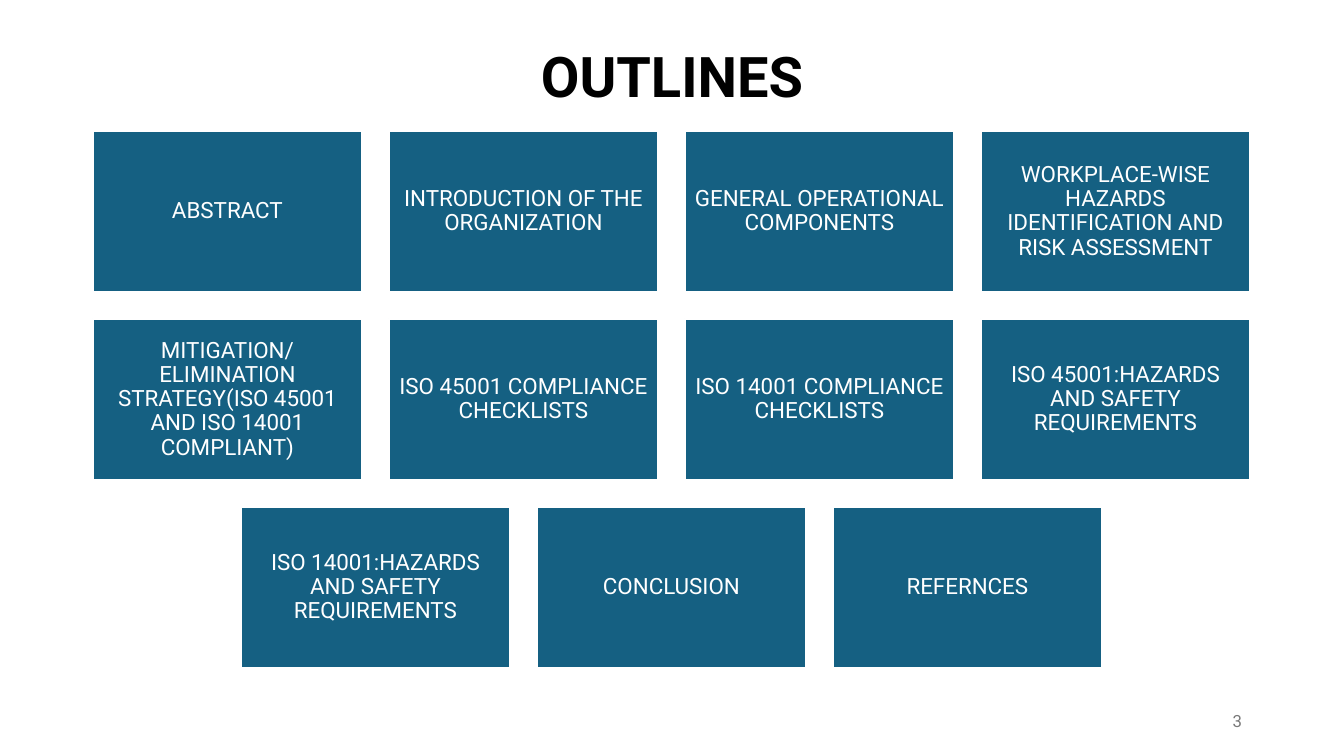
from dataclasses import dataclass

from pptx import Presentation
from pptx.dml.color import RGBColor
from pptx.enum.shapes import MSO_SHAPE as Shape
from pptx.enum.text import MSO_ANCHOR as Anchor, PP_ALIGN as Align
from pptx.util import Emu, Pt

SCALE = 914400 / 100.8  # EMU in one px
WIDTH, HEIGHT = 1344, 756
TILE_W, TILE_H, GAP, TOP = 269, 161, 27, 131
FONT = "Roboto"
COLORS = {"tile": "156082", "white": "FFFFFF", "title": "000000", "number": "797979"}

ROWS = [
    [
        "ABSTRACT",
        "INTRODUCTION OF THE ORGANIZATION",
        "GENERAL OPERATIONAL COMPONENTS",
        "WORKPLACE-WISE HAZARDS IDENTIFICATION AND RISK ASSESSMENT",
    ],
    [
        "MITIGATION/ELIMINATION STRATEGY(ISO 45001 AND ISO 14001 COMPLIANT)",
        "ISO 45001 COMPLIANCE CHECKLISTS",
        "ISO 14001 COMPLIANCE CHECKLISTS",
        "ISO 45001:HAZARDS AND SAFETY REQUIREMENTS",
    ],
    ["ISO 14001:HAZARDS AND SAFETY REQUIREMENTS", "CONCLUSION", "REFERNCES"],
]


@dataclass
class Label:
    text: str
    size: int
    color: str
    align: Align = Align.CENTER
    bold: bool = False
    spacing: float = 0.9


@dataclass
class Box:
    left: int
    top: int
    width: int
    height: int

    def emu(self) -> list[Emu]:
        return [px(n) for n in (self.left, self.top, self.width, self.height)]


def px(count: int) -> Emu:
    return Emu(round(count * SCALE))


def color(name: str) -> RGBColor:
    return RGBColor.from_string(COLORS[name])


def write(shape, label: Label) -> None:
    frame = shape.text_frame
    frame.word_wrap = True
    frame.vertical_anchor = Anchor.MIDDLE
    para = frame.paragraphs[0]
    para.text = label.text
    para.alignment = label.align
    para.line_spacing = label.spacing
    font = para.font
    font.name, font.size, font.bold = FONT, Pt(label.size), label.bold
    font.color.rgb = color(label.color)


def add_text(slide, box: Box, label: Label) -> None:
    write(slide.shapes.add_textbox(*box.emu()), label)


def add_tile(slide, box: Box, text: str) -> None:
    tile = slide.shapes.add_shape(Shape.RECTANGLE, *box.emu())
    tile.shadow.inherit = False
    tile.fill.solid()
    tile.fill.fore_color.rgb = color("tile")
    tile.line.color.rgb = color("white")
    tile.line.width = Pt(1.5)
    frame = tile.text_frame
    frame.margin_left = frame.margin_right = px(7)
    frame.margin_top = frame.margin_bottom = px(7)
    write(tile, Label(text, 16, "white"))


def main() -> None:
    deck = Presentation()
    deck.slide_width, deck.slide_height = px(WIDTH), px(HEIGHT)
    slide = deck.slides.add_slide(deck.slide_layouts[6])

    # Title
    add_text(slide, Box(92, 40, 1160, 78), Label("OUTLINES", 40, "title", bold=True))

    # Tiles, each row centred on the slide
    for row, texts in enumerate(ROWS):
        span = len(texts) * (TILE_W + GAP) - GAP
        left = (WIDTH - span) // 2
        top = TOP + row * (TILE_H + GAP)
        for col, text in enumerate(texts):
            box = Box(left + col * (TILE_W + GAP), top, TILE_W, TILE_H)
            add_tile(slide, box, text)

    # Slide number
    number = Label("3", 12, "number", Align.RIGHT, spacing=1.0)
    add_text(slide, Box(950, 701, 302, 40), number)

    deck.save("out.pptx")


if __name__ == "__main__":
    main()
